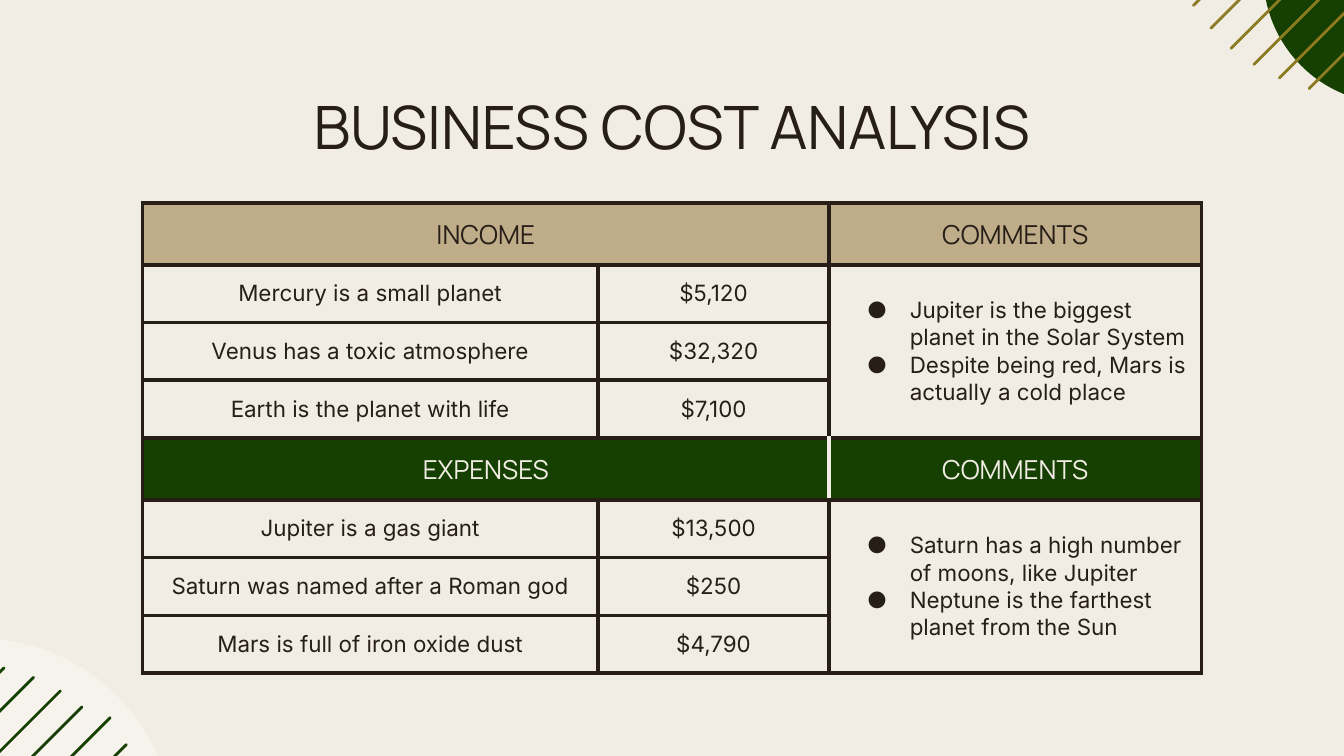
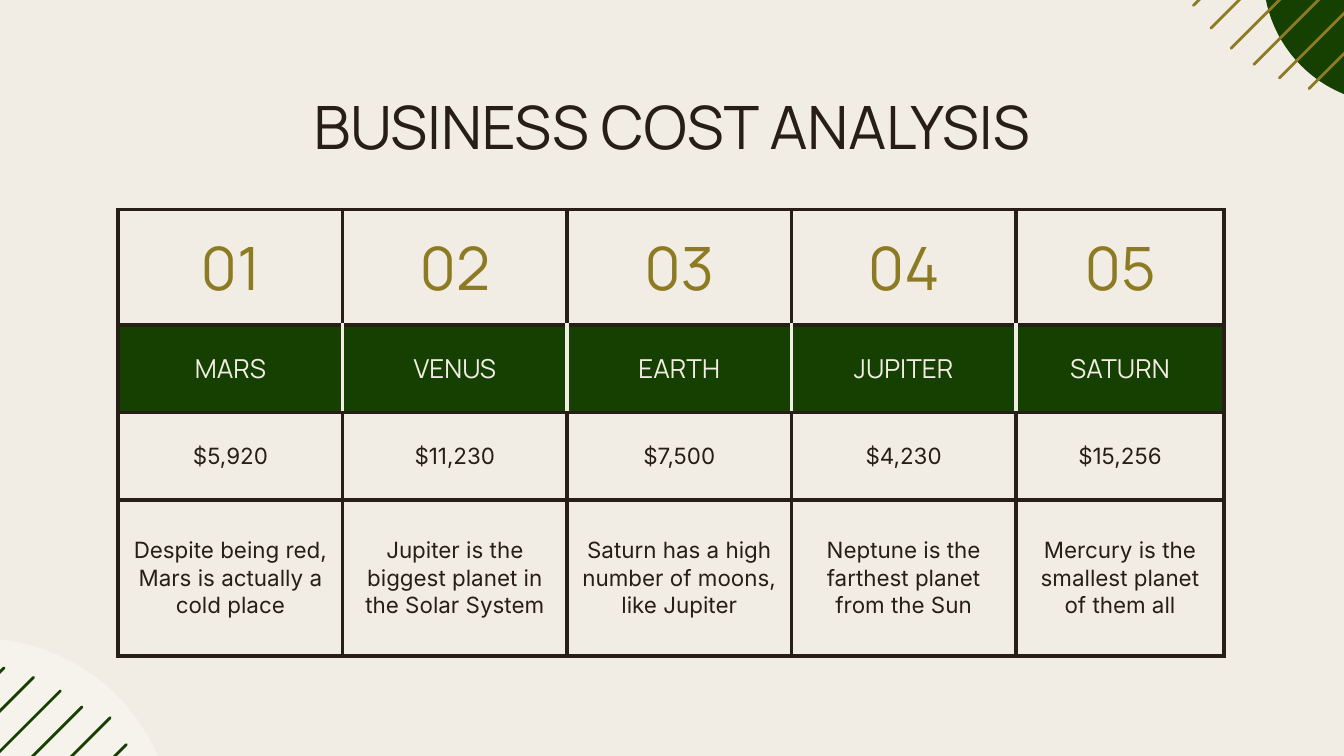
"""Build two business cost analysis table slides."""
from dataclasses import dataclass

from lxml.etree import SubElement
from pptx import Presentation
from pptx.dml.color import RGBColor
from pptx.enum.shapes import MSO_CONNECTOR, MSO_SHAPE
from pptx.enum.text import MSO_ANCHOR, PP_ALIGN
from pptx.oxml import parse_xml
from pptx.oxml.ns import nsdecls, qn
from pptx.util import Inches, Pt


@dataclass(frozen=True)
class Theme:
    cream: str = "F2EDE4"
    ink: str = "261E17"
    green: str = "154001"
    gold: str = "8C7B23"
    tan: str = "BFAD8A"
    white: str = "FFFFFF"
    heading_font: str = "Manrope"
    body_font: str = "Inter"
    title_size: int = 32
    header_size: int = 14
    body_size: int = 12
    border_width: float = 2.25
    stripe_width: float = 1.5


theme = Theme()

ROW_STYLES = {
    "income": (theme.heading_font, theme.header_size, theme.ink, theme.tan),
    "green": (theme.heading_font, theme.header_size, theme.cream, theme.green),
    "number": (theme.heading_font, theme.title_size, theme.gold, None),
    "body": (theme.body_font, theme.body_size, theme.ink, None),
}

CIRCLES = [
    (9.4, -1.15, 1.92, 1.92, theme.green, None),
    (-1.61, 4.75, 2.9, 2.88, theme.white, 36),
]

STRIPES = [
    (theme.gold, 1, [(8.88, 0.04, 1.95), (9.01, 0.21, 2.06), (9.16, 0.36, 2.09),
                     (9.33, 0.48, 2.02), (9.52, 0.58, 1.86), (9.74, 0.66, 1.71)]),
    (theme.green, -1, [(0.03, 4.97, 1.71), (0.25, 5.04, 1.85), (0.45, 5.14, 1.95),
                       (0.61, 5.26, 1.99), (0.82, 5.34, 2.06), (0.94, 5.54, 2.0)]),
]

SLIDES = [
    {
        "title": "BUSINESS COST ANALYSIS",
        "position": (1.06, 1.51),
        "columns": [3.39, 1.72, 2.77],
        "heights": [0.46, 0.43, 0.43, 0.43] * 2,
        "merges": [(0, 0, 0, 1), (1, 2, 3, 2), (4, 0, 4, 1), (5, 2, 7, 2)],
        "rows": [
            ("income", ["INCOME", None, "COMMENTS"]),
            ("body", ["Mercury is a small planet", "$5,120",
                      ["Jupiter is the biggest planet in the Solar System",
                       "Despite being red, Mars is actually a cold place"]]),
            ("body", ["Venus has a toxic atmosphere", "$32,320", None]),
            ("body", ["Earth is the planet with life", "$7,100", None]),
            ("green", ["EXPENSES", None, "COMMENTS"]),
            ("body", ["Jupiter is a gas giant", "$13,500",
                      ["Saturn has a high number of moons, like Jupiter",
                       "Neptune is the farthest planet from the Sun"]]),
            ("body", ["Saturn was named after a Roman god", "$250", None]),
            ("body", ["Mars is full of iron oxide dust", "$4,790", None]),
        ],
    },
    {
        "title": "BUSINESS COST ANALYSIS",
        "position": (0.88, 1.56),
        "columns": [1.67] * 4 + [1.55],
        "heights": [0.86, 0.65, 0.65, 1.16],
        "merges": [],
        "rows": [
            ("number", ["01", "02", "03", "04", "05"]),
            ("green", ["MARS", "VENUS", "EARTH", "JUPITER", "SATURN"]),
            ("body", ["$5,920", "$11,230", "$7,500", "$4,230", "$15,256"]),
            ("body", ["Despite being red, Mars is actually a cold place",
                      "Jupiter is the biggest planet in the Solar System",
                      "Saturn has a high number of moons, like Jupiter",
                      "Neptune is the farthest planet from the Sun",
                      "Mercury is the smallest planet of them all"]),
        ],
    },
]


def write_text(paragraph, text, font_name, size, color, bulleted=False):
    paragraph.alignment = PP_ALIGN.LEFT if bulleted else PP_ALIGN.CENTER
    if bulleted:
        properties = paragraph._p.get_or_add_pPr()
        properties.set("marL", str(Inches(0.5)))
        properties.set("indent", str(Inches(-0.32)))
        bullet_color = SubElement(properties, qn("a:buClr"))
        SubElement(bullet_color, qn("a:srgbClr"), val=color)
        SubElement(properties, qn("a:buSzPts"), val=str(size * 100))
        SubElement(properties, qn("a:buFont"), typeface=font_name)
        SubElement(properties, qn("a:buChar"), char="●")
    paragraph.font.size = Pt(size)
    run = paragraph.add_run()
    run.text = text
    run.font.name = font_name
    run.font.size = Pt(size)
    run.font.color.rgb = RGBColor.from_string(color)


def set_borders(cell, side_colors):
    properties = cell._tc.get_or_add_tcPr()
    for index, (side, color) in enumerate(zip("LRTB", side_colors)):
        properties.insert(index, parse_xml(
            f'<a:ln{side} {nsdecls("a")} w="{Pt(theme.border_width)}">'
            f'<a:solidFill><a:srgbClr val="{color}"/></a:solidFill></a:ln{side}>'))


presentation = Presentation()
presentation.slide_width = Inches(10)
presentation.slide_height = Inches(10) * 9 // 16
background = presentation.slide_master.background.fill
background.solid()
background.fore_color.rgb = RGBColor.from_string(theme.cream)

for content in SLIDES:
    slide = presentation.slides.add_slide(presentation.slide_layouts[6])

    for left, top, width, height, color, opacity in CIRCLES:
        circle = slide.shapes.add_shape(
            MSO_SHAPE.OVAL, Inches(left), Inches(top), Inches(width), Inches(height))
        circle.shadow.inherit = False
        circle.line.fill.background()
        circle.fill.solid()
        circle.fill.fore_color.rgb = RGBColor.from_string(color)
        if opacity:
            color_element = circle._element.spPr.find(qn("a:solidFill"))[0]
            SubElement(color_element, qn("a:alpha"), val=str(opacity * 1000))

    for color, direction, stripes in STRIPES:
        for x, y, length in stripes:
            stripe = slide.shapes.add_connector(
                MSO_CONNECTOR.STRAIGHT, Inches(x), Inches(y),
                Inches(x + direction * length), Inches(y - direction * length))
            stripe.line.color.rgb = RGBColor.from_string(color)
            stripe.line.width = Pt(theme.stripe_width)
            stripe.line._get_or_add_ln().set("cap", "rnd")
            SubElement(stripe._element.spPr, qn("a:effectLst"))

    title = slide.shapes.add_textbox(
        Inches(0.78), Inches(0.55), Inches(8.44), Inches(0.77)).text_frame
    title.word_wrap = True
    title.vertical_anchor = MSO_ANCHOR.MIDDLE
    title.margin_left = title.margin_right = Inches(0.1)
    title.margin_top = title.margin_bottom = Inches(0.1)
    write_text(title.paragraphs[0], content["title"],
               theme.heading_font, theme.title_size, theme.ink)

    left, top = content["position"]
    columns, heights, rows = content["columns"], content["heights"], content["rows"]
    table = slide.shapes.add_table(
        len(rows), len(columns), Inches(left), Inches(top),
        Inches(sum(columns)), Inches(sum(heights))).table
    table.first_row = table.horz_banding = False
    for column, width in zip(table.columns, columns):
        column.width = Inches(width)
    for row, height in zip(table.rows, heights):
        row.height = Inches(height)
    for first_row, first_column, last_row, last_column in content["merges"]:
        table.cell(first_row, first_column).merge(table.cell(last_row, last_column))

    for row_index, (style, entries) in enumerate(rows):
        font_name, size, color, fill = ROW_STYLES[style]
        divider = theme.cream if style == "green" else theme.ink
        for column_index, entry in enumerate(entries):
            cell = table.cell(row_index, column_index)
            cell.vertical_anchor = MSO_ANCHOR.MIDDLE
            cell.margin_left = cell.margin_right = Inches(0.1)
            cell.margin_top = cell.margin_bottom = Inches(0.1)
            if fill:
                cell.fill.solid()
                cell.fill.fore_color.rgb = RGBColor.from_string(fill)
            else:
                cell.fill.background()
            left_color = divider if column_index > 0 else theme.ink
            right_color = divider if column_index < len(columns) - 1 else theme.ink
            set_borders(cell, (left_color, right_color, theme.ink, theme.ink))
            if entry is None:
                continue
            bulleted = isinstance(entry, list)
            for index, text in enumerate(entry if bulleted else [entry]):
                frame = cell.text_frame
                paragraph = frame.add_paragraph() if index else frame.paragraphs[0]
                write_text(paragraph, text, font_name, size, color, bulleted)

presentation.save("out.pptx")
